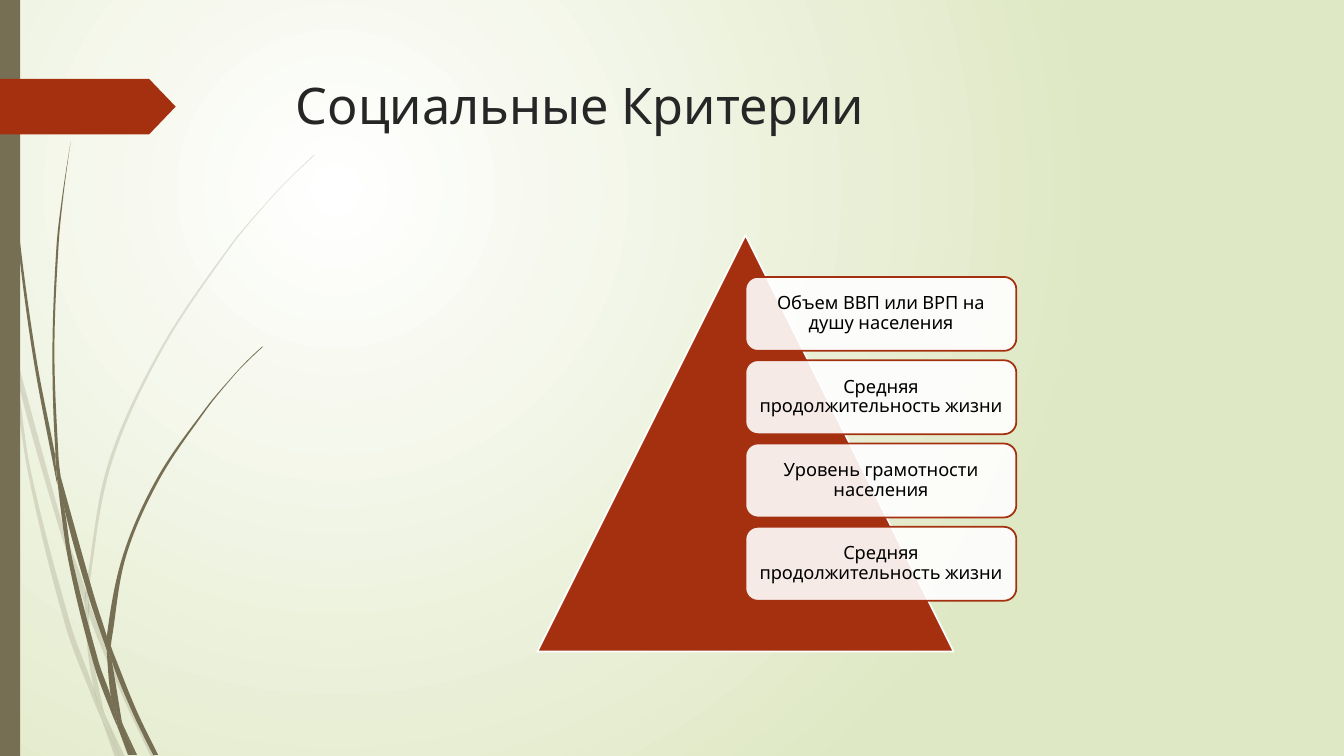
import pptx
import pptx.util
import pptx.dml.color
import pptx.enum.shapes
import pptx.enum.text
import pptx.oxml
import pptx.oxml.ns
import math

Pt = pptx.util.Pt
SHAPE = pptx.enum.shapes.MSO_SHAPE
ALIGN = pptx.enum.text.PP_ALIGN
ANCHOR = pptx.enum.text.MSO_ANCHOR
qn = pptx.oxml.ns.qn
NS = pptx.oxml.ns.nsdecls("a")

FONT = "League Spartan"
GRID = Pt(0.72)
COLORS = {
    "white": "FFFFFF",
    "green": "DFE8C4",
    "olive": "766F54",
    "red": "A53010",
    "title": "262626",
    "text": "000000",
}
CRITERIA = [
    "Объем ВВП или ВРП на душу населения",
    "Средняя продолжительность жизни",
    "Уровень грамотности населения",
    "Средняя продолжительность жизни",
]
FAINT_LEAVES = [
    [(11, 350), (9, 322), (0, 282), (0, 299), (10, 344)],
    [(58, 522), (84, 599), (85, 586), (62, 520), (14, 345), (17, 376)],
    [(92, 607), (88, 596), (88, 610), (123, 694), (150, 751), (155, 751), (127, 692)],
    [(119, 751), (124, 751), (105, 711)],
    [(93, 683), (70, 619), (31, 469), (17, 376), (11, 350), (28, 470), (65, 621), (92, 693),
     (101, 714), (99, 707)],
    [(84, 599), (87, 646), (93, 683), (96, 692), (105, 711), (103, 706), (91, 646), (88, 610),
     (88, 608)],
    [(88, 584), (110, 462), (160, 349), (229, 245), (268, 198), (290, 175), (312, 154),
     (312, 153), (289, 175), (268, 197), (228, 244), (158, 348), (107, 461), (85, 584),
     (85, 586), (88, 596)],
    [(101, 714), (114, 751), (119, 751)],
    [(88, 608), (88, 610), (88, 596), (85, 586), (84, 599)],
    [(96, 692), (93, 683), (99, 707), (101, 714), (119, 751), (105, 711)],
]
DARK_LEAVES = [
    [(7, 110), (17, 233), (33, 355), (56, 477), (57, 481), (55, 457), (55, 453), (36, 355),
     (19, 232), (8, 109), (5, 48), (4, 0), (3, 0), (4, 48)],
    [(88, 592), (106, 645), (106, 633), (106, 631), (93, 590), (60, 472), (64, 505)],
    [(113, 649), (110, 641), (111, 656), (132, 708), (152, 749), (157, 749), (136, 706)],
    [(110, 691), (98, 657), (72, 556), (64, 505), (57, 477), (68, 557), (93, 659), (111, 708),
     (117, 722), (116, 717)],
    [(60, 472), (58, 453), (54, 349), (58, 245), (63, 193), (70, 141), (62, 193), (56, 245),
     (52, 349), (55, 449)],
    [(133, 749), (136, 749), (122, 719)],
    [(57, 477), (64, 505), (60, 472), (55, 449), (55, 453)],
    [(111, 633), (125, 552), (158, 476), (205, 406), (231, 374), (245, 359), (261, 344),
     (260, 344), (245, 358), (231, 373), (204, 405), (156, 474), (122, 551), (106, 631),
     (110, 641)],
    [(117, 722), (127, 749), (131, 749)],
    [(106, 645), (110, 691), (116, 706), (122, 719), (121, 716), (111, 656), (109, 651)],
    [(106, 645), (109, 651), (111, 656), (110, 641), (106, 631), (106, 633)],
    [(116, 706), (110, 691), (116, 717), (117, 722), (130, 749), (133, 749), (122, 719)],
]


def rgb(name):
    return pptx.dml.color.RGBColor.from_string(COLORS[name])


def set_attrs(obj, values):
    for name, value in values.items():
        setattr(obj, name, value)


def paint(sp, fill, line=None, opacity=100):
    sp.shadow.inherit = False
    sp.fill.solid()
    sp.fill.fore_color.rgb = rgb(fill)
    if opacity < 100:
        clr = sp._element.spPr.find(qn("a:solidFill")).find(qn("a:srgbClr"))
        clr.append(pptx.oxml.parse_xml(f'<a:alpha {NS} val="{opacity * 1000}"/>'))
    if line:
        sp.line.color.rgb = rgb(line)
        sp.line.width = Pt(1.25)
    else:
        sp.line.fill.background()


def add_shape(s, kind, box, fill, line=None, opacity=100):
    sp = s.shapes.add_shape(kind, *map(Pt, box))
    paint(sp, fill, line, opacity)
    return sp


def write(tf, text, font, color, para, frame):
    set_attrs(tf, frame)
    p = tf.paragraphs[0]
    set_attrs(p, para)
    r = p.add_run()
    r.text = text
    set_attrs(r.font, {"name": FONT, **font})
    r.font.color.rgb = rgb(color)


def tangent(before, point, after):
    angle_in = math.atan2(point[1] - before[1], point[0] - before[0])
    angle_out = math.atan2(after[1] - point[1], after[0] - point[0])
    if math.cos(angle_out - angle_in) < 0.6:
        return 0, 0
    angle = math.atan2(after[1] - before[1], after[0] - before[0])
    return math.cos(angle), math.sin(angle)


def round_outline(sp):
    points = [(int(pt.get("x")), int(pt.get("y"))) for pt in sp._element.iter(qn("a:pt"))]
    ring = points[:-1]
    slopes = [tangent(ring[i - 1], ring[i], ring[(i + 1) % len(ring)])
              for i in range(len(ring))]
    slopes.append(slopes[0])
    for i, side in enumerate(list(sp._element.iter(qn("a:lnTo")))):
        (x0, y0), (x1, y1) = points[i:i + 2]
        (u0, v0), (u1, v1) = slopes[i:i + 2]
        reach = math.hypot(x1 - x0, y1 - y0) / 3
        knots = [(x0 + reach * u0, y0 + reach * v0), (x1 - reach * u1, y1 - reach * v1), (x1, y1)]
        pts = "".join(f'<a:pt x="{round(x)}" y="{round(y)}"/>' for x, y in knots)
        curve = pptx.oxml.parse_xml(f"<a:cubicBezTo {NS}>{pts}</a:cubicBezTo>")
        side.getparent().replace(side, curve)


def add_leaf(s, points, opacity):
    outline = [(x * GRID, y * GRID) for x, y in points]
    builder = s.shapes.build_freeform(*outline[0])
    builder.add_line_segments(outline[1:] + outline[:1], close=True)
    sp = builder.convert_to_shape()
    round_outline(sp)
    paint(sp, "olive", opacity=opacity)


def add_background(s):
    fill = s.background.fill
    fill.gradient()
    for stop, name in zip(fill.gradient_stops, ("white", "green")):
        stop.color.rgb = rgb(name)
    stops = next(s._element.iter(qn("a:gsLst")))
    grad = stops.getparent()
    for old in grad.findall(qn("a:lin")):
        grad.remove(old)
    stops.addnext(pptx.oxml.parse_xml(
        f'<a:path {NS} path="circle">'
        '<a:fillToRect l="50000" t="50000" r="100000" b="100000"/></a:path>'))


def add_title(s, text):
    sp = s.shapes.title
    set_attrs(sp, {"left": Pt(204), "top": Pt(49), "width": Pt(702), "height": Pt(101)})
    write(sp.text_frame, text, {"size": Pt(36)}, "title", {"alignment": ALIGN.LEFT},
          {"vertical_anchor": ANCHOR.TOP, "word_wrap": True})


def add_card(s, text, top):
    sp = add_shape(s, SHAPE.ROUNDED_RECTANGLE, (532.5, top, 193.5, 52.8), "white", "red", 90)
    margins = {f"margin_{side}": Pt(6) for side in ("left", "top", "right", "bottom")}
    write(sp.text_frame, text, {"size": Pt(13)}, "text",
          {"alignment": ALIGN.CENTER, "line_spacing": 0.9},
          {"vertical_anchor": ANCHOR.MIDDLE, "word_wrap": True, **margins})


def main():
    prs = pptx.Presentation()
    set_attrs(prs, {"slide_width": Pt(960), "slide_height": Pt(540)})
    s = prs.slides.add_slide(prs.slide_layouts[5])
    add_background(s)
    for leaves, opacity in ((FAINT_LEAVES, 20), (DARK_LEAVES, 100)):
        for points in leaves:
            add_leaf(s, points, opacity)
    add_shape(s, SHAPE.RECTANGLE, (0, 0, 14.4, 540), "olive")
    tag = add_shape(s, SHAPE.PENTAGON, (0, 56.3, 125.5, 39.8), "red")
    tag.adjustments[0] = 0.48
    add_title(s, "Социальные Критерии")
    add_shape(s, SHAPE.ISOSCELES_TRIANGLE, (383.8, 168, 297.4, 297.4), "red", "white")
    for i, text in enumerate(CRITERIA):
        add_card(s, text, 197.8 + 59.5 * i)
    prs.save("out.pptx")


if __name__ == "__main__":
    main()
